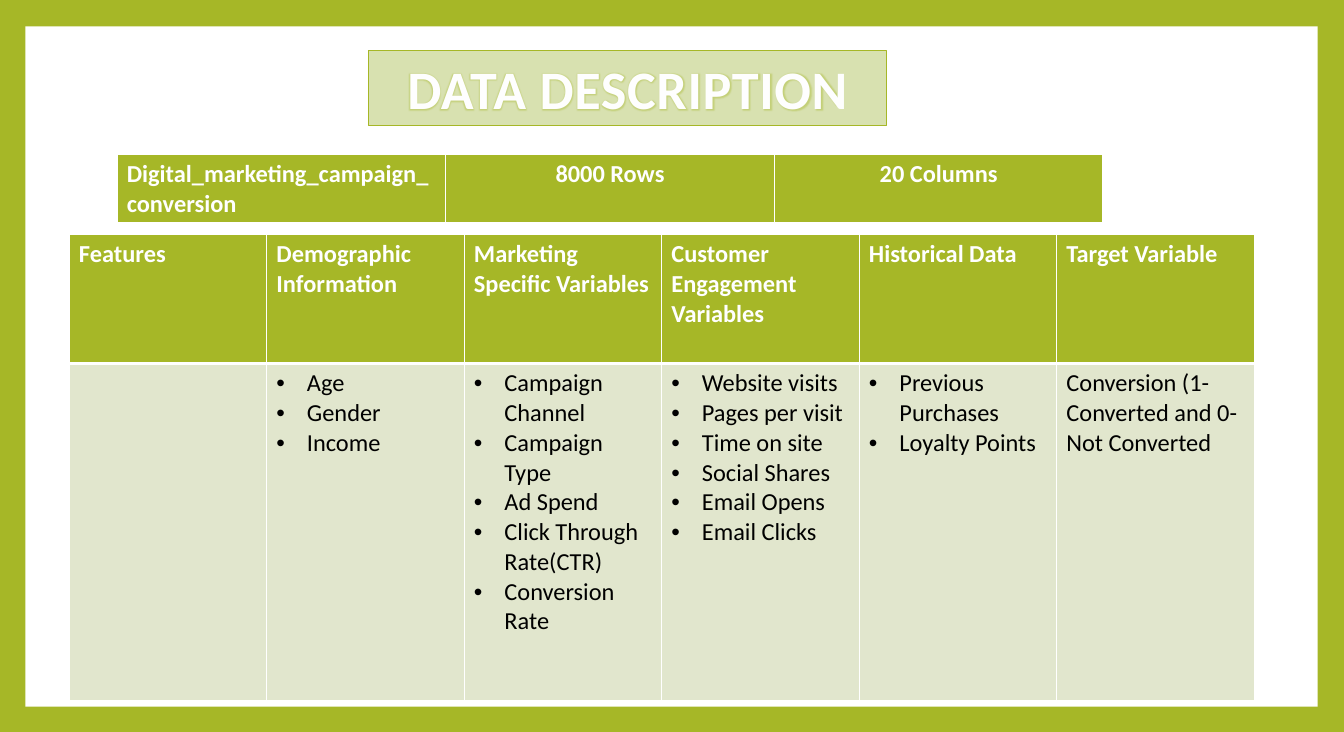
from lxml import etree
from pptx import Presentation
from pptx.dml.color import RGBColor
from pptx.enum.shapes import MSO_SHAPE
from pptx.enum.text import MSO_ANCHOR, MSO_AUTO_SIZE, PP_ALIGN
from pptx.oxml.ns import qn
from pptx.util import Pt

GREEN, PALE, TITLE_FILL = "A6B727", "E1E6CD", "D8E1B0"
WHITE, TITLE_WHITE, BLACK = "FFFFFF", "FEFEFE", "000000"
FONT = "Calibri"

SUMMARY = ["Digital_marketing_campaign_conversion", "8000 Rows", "20 Columns"]
FEATURES = {
    "Features": [],
    "Demographic Information": ["Age", "Gender", "Income"],
    "Marketing Specific Variables": [
        "Campaign Channel", "Campaign Type", "Ad Spend",
        "Click Through Rate(CTR)", "Conversion Rate"],
    "Customer Engagement Variables": [
        "Website visits", "Pages per visit", "Time on site",
        "Social Shares", "Email Opens", "Email Clicks"],
    "Historical Data": ["Previous Purchases", "Loyalty Points"],
    "Target Variable": ["Conversion (1- Converted and 0- Not Converted"],
}


def rgb(color):
    return RGBColor.from_string(color)


def set_fill(target, color):
    target.fill.solid()
    target.fill.fore_color.rgb = rgb(color)


def sub(parent, tag, **attrs):
    return etree.SubElement(parent, qn(tag), **attrs)


def add_solid(parent, color):
    return sub(sub(parent, "a:solidFill"), "a:srgbClr", val=color)


def format_font(font, size, color, bold):
    font.name, font.size, font.bold = FONT, Pt(size), bold
    font.color.rgb = rgb(color)


def add_bullet(p):
    pPr = p._p.get_or_add_pPr()
    pPr.set("marL", str(Pt(22.5)))
    pPr.set("indent", str(-Pt(22.5)))
    sub(pPr, "a:buFont", typeface="Arial")
    sub(pPr, "a:buChar", char="•")


def set_borders(cell, top, bottom):
    tcPr = cell._tc.get_or_add_tcPr()
    for side, width in (("L", 1), ("R", 1), ("T", top), ("B", bottom)):
        add_solid(sub(tcPr, f"a:ln{side}", w=str(Pt(width))), WHITE)


def fill_cell(cell, lines, header, align=None, bullets=False):
    set_borders(cell, *((1, 3) if header else (3, 1)))
    set_fill(cell, GREEN if header else PALE)
    tf = cell.text_frame
    tf.text = "\n".join(lines)
    for p in tf.paragraphs:
        if bullets:
            add_bullet(p)
        p.alignment = align
        for r in p.runs:
            format_font(r.font, 18, WHITE if header else BLACK, header)


def add_grid(s, left, top, width, heights, cols):
    """Add a table with equal columns and the given row heights."""
    table = s.shapes.add_table(len(heights), cols, Pt(left), Pt(top),
                               Pt(width), Pt(sum(heights))).table
    for row, height in zip(table.rows, heights):
        row.height = Pt(height)
    for col in table.columns:
        col.width = Pt(width / cols)
    return table


def add_frame(s, left, top, width, height):
    """Add the white panel that leaves the green background as a frame."""
    set_fill(s.background, GREEN)
    sp = s.shapes.add_shape(MSO_SHAPE.RECTANGLE, Pt(left), Pt(top), Pt(width), Pt(height))
    sp.shadow.inherit = False
    set_fill(sp, WHITE)
    sp.line.fill.background()


def add_title(s, left, top, width, height):
    sp = s.shapes.add_shape(MSO_SHAPE.RECTANGLE, Pt(left), Pt(top), Pt(width), Pt(height))
    sp.shadow.inherit = False
    set_fill(sp, TITLE_FILL)
    sp.line.color.rgb = rgb(GREEN)
    sp.line.width = Pt(0.79)
    tf = sp.text_frame
    tf.text = "DATA DESCRIPTION"
    tf.word_wrap = False
    tf.auto_size = MSO_AUTO_SIZE.SHAPE_TO_FIT_TEXT
    tf.vertical_anchor = MSO_ANCHOR.TOP
    p = tf.paragraphs[0]
    p.alignment = PP_ALIGN.CENTER
    r = p.runs[0]
    format_font(r.font, 40, TITLE_WHITE, True)

    rPr = r.font._element
    rPr.set("spc", "50")
    outline = sub(rPr, "a:ln", w=str(Pt(0.75)))
    add_solid(outline, GREEN)
    rPr.insert(0, outline)
    effects = sub(rPr, "a:effectLst")
    glow = sub(effects, "a:glow", rad=str(Pt(3)))
    sub(sub(glow, "a:srgbClr", val=GREEN), "a:alpha", val="40000")
    rPr.find(qn("a:solidFill")).addnext(effects)


def add_summary(s, left, top, width, height):
    table = add_grid(s, left, top, width, [height], len(SUMMARY))
    for i, text in enumerate(SUMMARY):
        fill_cell(table.cell(0, i), [text], True, PP_ALIGN.CENTER if i else None)


def add_features(s, left, top, width, height):
    header = 95.2
    table = add_grid(s, left, top, width, [header, height - header], len(FEATURES))
    for i, (name, items) in enumerate(FEATURES.items()):
        fill_cell(table.cell(0, i), [name], True)
        fill_cell(table.cell(1, i), items, False, bullets=len(items) > 1)


def main():
    prs = Presentation()
    prs.slide_width, prs.slide_height = Pt(992.126), Pt(540)
    s = prs.slides.add_slide(prs.slide_layouts[6])
    add_frame(s, 18.72, 19.44, 954, 501.84)
    add_summary(s, 86.4, 114, 727.9, 50)
    add_features(s, 51.12, 173, 874.8, 343.7)
    add_title(s, 272.16, 37.44, 382.32, 55.44)
    prs.save("out.pptx")


if __name__ == "__main__":
    main()
